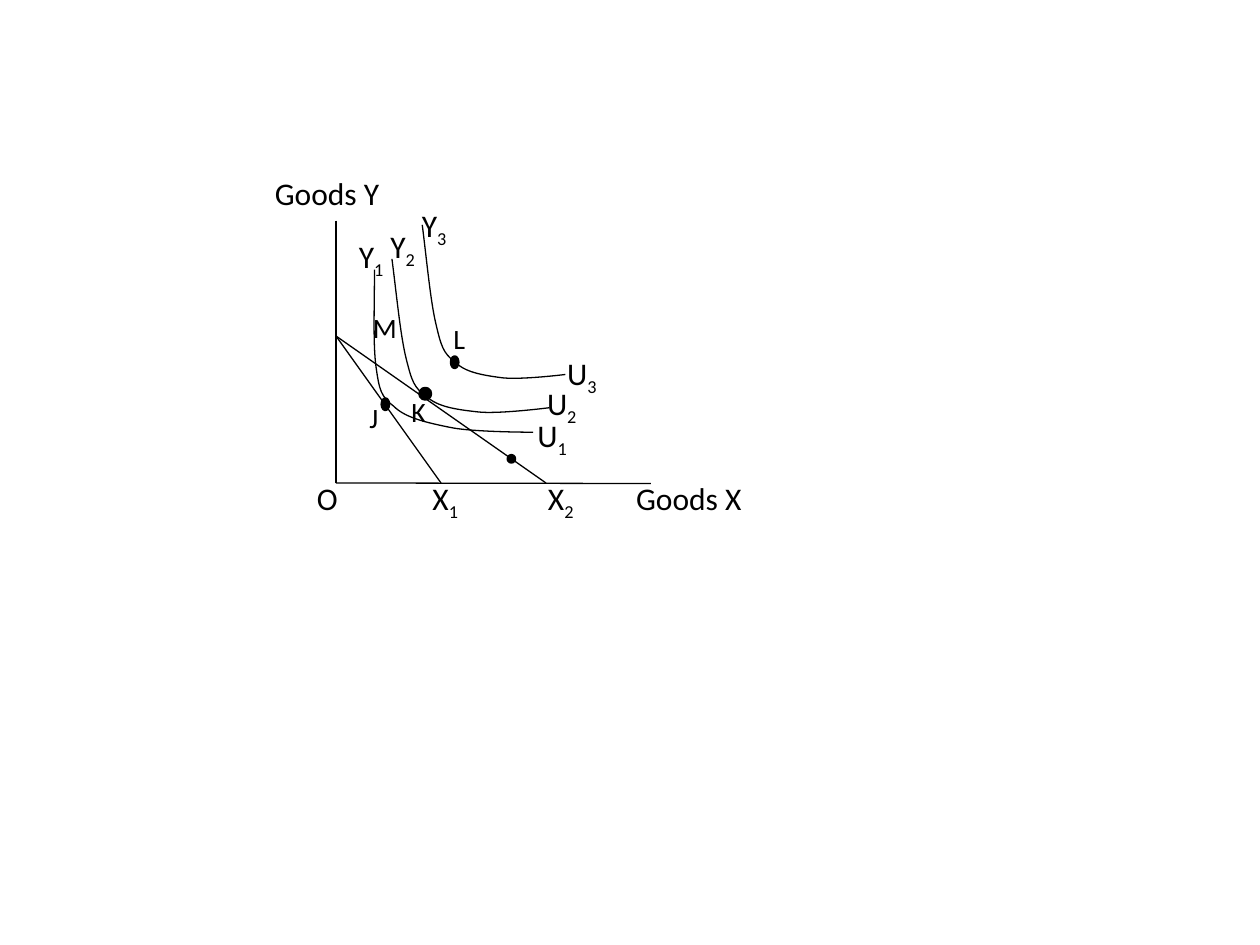
"""Draw indifference curves and budget lines for goods X and Y."""
from dataclasses import dataclass

from lxml.etree import SubElement
from pptx import Presentation
from pptx.dml.color import RGBColor
from pptx.enum.shapes import MSO_CONNECTOR, MSO_SHAPE
from pptx.enum.text import MSO_AUTO_SIZE
from pptx.oxml.ns import qn
from pptx.util import Pt


@dataclass(frozen=True)
class Theme:
    ink: RGBColor = RGBColor(0, 0, 0)
    font: str = "Calibri"
    axis_size: float = 18
    point_size: float = 16
    thin: float = 0.75
    thick: float = 2


class Diagram:
    def __init__(self, slide, theme):
        self.slide = slide
        self.theme = theme

    def stroke(self, line, width):
        line.color.rgb = self.theme.ink
        line.width = Pt(width)

    def line(self, start, end):
        segment = self.slide.shapes.add_connector(
            MSO_CONNECTOR.STRAIGHT, *map(Pt, start + end))
        self.stroke(segment.line, self.theme.thin)
        SubElement(segment._element.spPr, qn("a:effectLst"))

    def curve(self, knots, left, top, width, height, rotation):
        points = [(Pt(left + x * width), Pt(top + y * height)) for x, y in knots]
        builder = self.slide.shapes.build_freeform(*points[0])
        builder.add_line_segments(points[1:], close=False)
        outline = builder.convert_to_shape()
        chords = list(outline._element.iter(qn("a:lnTo")))
        for first in range(0, len(chords), 3):
            trail = chords[first].getparent()
            bend = SubElement(trail, qn("a:cubicBezTo"))
            for chord in chords[first:first + 3]:
                bend.append(chord[0])
                trail.remove(chord)
        outline.rotation = rotation
        outline.shadow.inherit = False
        outline.fill.background()
        self.stroke(outline.line, self.theme.thin)

    def dot(self, left, top, width, height):
        marker = self.slide.shapes.add_shape(
            MSO_SHAPE.OVAL, *map(Pt, (left, top, width, height)))
        marker.shadow.inherit = False
        marker.fill.solid()
        marker.fill.fore_color.rgb = self.theme.ink
        self.stroke(marker.line, self.theme.thick)

    def label(self, text, left, top, width, size, subscript=""):
        box = self.slide.shapes.add_textbox(
            *map(Pt, (left, top, width, size * 1.22 + 7.2)))
        frame = box.text_frame
        for name, value in {"word_wrap": False,
                            "auto_size": MSO_AUTO_SIZE.SHAPE_TO_FIT_TEXT}.items():
            setattr(frame, name, value)
        for part in filter(None, (text, subscript)):
            run = frame.paragraphs[0].add_run()
            run.text = part
            for name, value in {"name": self.theme.font, "size": Pt(size)}.items():
                setattr(run.font, name, value)
            run.font.color.rgb = self.theme.ink
            if part == subscript:
                run._r.get_or_add_rPr().set("baseline", "-25000")


ORIGIN = (192, 276)
AXES = [((192, 126), ORIGIN), (ORIGIN, (372, 276.3))]
BUDGET_TOP = (192, 192)
BUDGET_ENDS = [(252, 276), (312, 276)]
INDIFFERENCE = [
    (0.01, 0), (0.01, 0.23), (0, 0.46), (0.02, 0.6),
    (0.04, 0.74), (0.05, 0.78), (0.13, 0.84),
    (0.2, 0.91), (0.33, 0.94), (0.48, 0.97),
    (0.62, 1), (1, 1), (1, 1),
]
UTILITY_LEVELS = [(213.1, 154.1, 91.5, 92.9, 0),
                  (229, 142.6, 79.2, 95.8, 352.7),
                  (246.2, 123.8, 71.3, 95, 352.9)]
DOTS = [(258, 204, 3.6, 6), (240, 222, 6, 6),
        (218.4, 228, 3.6, 6), (290.4, 260.4, 3.6, 3.6)]
SUBSCRIPTED = {
    "Y": (29.5, [(198, 132), (216, 126), (234, 114)]),
    "U": (32.4, [(300, 234), (305.5, 216), (317, 198.7)]),
    "X": (30.2, [(240, 270), (306, 270)]),
}
AXIS_NAMES = [("Goods X", 356.4, 270, 75.6), ("Goods Y", 150, 96, 75),
              ("O", 174, 270, 26.6)]
POINT_NAMES = [("M", 206, 174, 28), ("K", 228, 222, 23),
               ("L", 252, 180, 21.6), ("J", 204, 225.4, 19.4)]


def main():
    presentation = Presentation()
    presentation.slide_width, presentation.slide_height = Pt(720), Pt(540)
    theme = Theme()
    diagram = Diagram(
        presentation.slides.add_slide(presentation.slide_layouts[6]), theme)

    for start, end in AXES:
        diagram.line(start, end)
    for level in UTILITY_LEVELS:
        diagram.curve(INDIFFERENCE, *level)
    for letter, (width, corners) in SUBSCRIPTED.items():
        for number, (left, top) in enumerate(corners, 1):
            diagram.label(letter, left, top, width, theme.axis_size, str(number))
    for bounds in DOTS:
        diagram.dot(*bounds)
    for end in BUDGET_ENDS:
        diagram.line(BUDGET_TOP, end)
    for names, size in ((POINT_NAMES, theme.point_size),
                        (AXIS_NAMES, theme.axis_size)):
        for name in names:
            diagram.label(*name, size)

    presentation.save("out.pptx")


if __name__ == "__main__":
    main()
